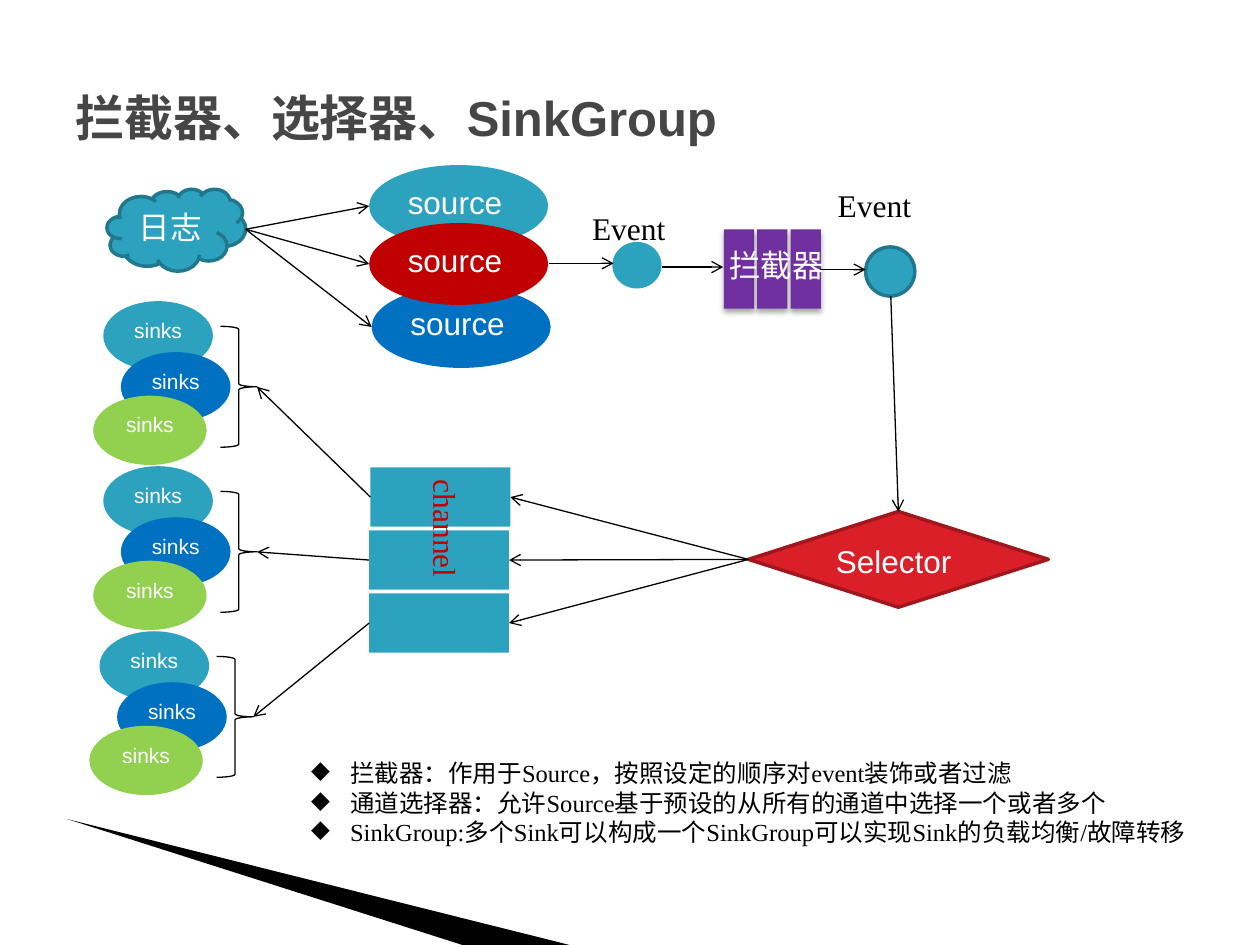
from lxml import etree
from pptx import Presentation
from pptx import util as u
from pptx.dml.color import RGBColor
from pptx.enum import shapes, text
from pptx.oxml import ns

CELL = u.Inches(0.1)
TEAL = RGBColor(0x2D, 0xA2, 0xBF)
DARK_TEAL = RGBColor(0x21, 0x78, 0x8D)
BLUE = RGBColor(0x00, 0x70, 0xC0)
GREEN = RGBColor(0x92, 0xD0, 0x50)
CRIMSON = RGBColor(0xC0, 0x00, 0x00)
RED = RGBColor(0xDA, 0x1F, 0x28)
DARK_RED = RGBColor(0xA1, 0x17, 0x1E)
PURPLE = RGBColor(0x70, 0x30, 0xA0)
GRAY = RGBColor(0x46, 0x46, 0x46)
BLACK = RGBColor(0x00, 0x00, 0x00)
WHITE = RGBColor(0xFF, 0xFF, 0xFF)
KIND = shapes.MSO_SHAPE
TOP, LEFT, RIGHT = 0, 1, 3
SERIF = "Times New Roman"
NOTES = [
    "拦截器：作用于Source，按照设定的顺序对event装饰或者过滤",
    "通道选择器：允许Source基于预设的从所有的通道中选择一个或者多个",
    "SinkGroup:多个Sink可以构成一个SinkGroup可以实现Sink的负载均衡/故障转移",
]


def grid(*cells):
    """Turn columns and rows of the 100 by 75 grid into lengths."""
    return [u.Emu(round(cell * CELL)) for cell in cells]


def add_xml(parent, tag, **attributes):
    """Append one DrawingML element and return it."""
    return etree.SubElement(parent, ns.qn(tag), attributes)


def write(paragraph, words, size, color, font="Arial", bold=False):
    """Add one styled run to a paragraph."""
    run = paragraph.add_run()
    run.text = words
    run.font.size = u.Pt(size)
    run.font.name = font
    run.font.bold = bold
    run.font.color.rgb = color


def add_node(slide, kind, box, fill=None, outline=None, width=2, label="",
             size=18, align=text.PP_ALIGN.LEFT):
    """Add a flat preset shape with an optional white label."""
    node = slide.shapes.add_shape(kind, *grid(*box))
    node.shadow.inherit = False
    if fill is None:
        node.fill.background()
    else:
        node.fill.solid()
        node.fill.fore_color.rgb = fill
    if outline is None:
        node.line.fill.background()
    else:
        node.line.color.rgb = outline
        node.line.width = u.Pt(width)
    if label:
        node.text_frame.vertical_anchor = text.MSO_ANCHOR.TOP
        paragraph = node.text_frame.paragraphs[0]
        paragraph.alignment = align
        write(paragraph, label, size, WHITE)
    return node


def add_caption(slide, box, words, color=BLACK, size=18, font=SERIF, bold=False):
    """Add a wrapping text box with one line and return its frame."""
    frame = slide.shapes.add_textbox(*grid(*box)).text_frame
    frame.word_wrap = True
    write(frame.paragraphs[0], words, size, color, font, bold)
    return frame


def add_arrow(slide, start, end, begin=None, finish=None):
    """Draw a thin open arrow, joined to (shape, side) pairs if given."""
    arrow = slide.shapes.add_connector(
        shapes.MSO_CONNECTOR.STRAIGHT, *grid(*start, *end))
    if begin:
        arrow.begin_connect(*begin)
    if finish:
        arrow.end_connect(*finish)
    arrow.line.color.rgb = BLACK
    arrow.line.width = u.Pt(0.75)
    add_xml(arrow.line._get_or_add_ln(), "a:tailEnd", type="arrow")
    add_xml(arrow._element.spPr, "a:effectLst")


def add_swoosh(slide):
    """Draw the black wedge at the bottom left."""
    tip, *rest = [grid(*point) for point in ((5.3, 65), (45.2, 75), (36.7, 75))]
    builder = slide.shapes.build_freeform(*tip)
    builder.add_line_segments(rest)
    wedge = builder.convert_to_shape()
    wedge.shadow.inherit = False
    wedge.fill.solid()
    wedge.fill.fore_color.rgb = BLACK
    wedge.line.fill.background()


def add_interceptors(slide):
    """Add three upright purple bars with a soft shadow and their caption."""
    for index in range(3):
        bar = add_node(slide, KIND.RECTANGLE,
                       (55.5 + 2.65 * index, 20.15, 6.3, 2.4), PURPLE)
        bar.rotation = 270
        effects = bar._element.spPr.find(ns.qn("a:effectLst"))
        shadow = add_xml(effects, "a:outerShdw", blurRad=str(u.Pt(3.1)),
                         dist=str(u.Pt(1.8)), dir="5400000", rotWithShape="0")
        tint = add_xml(shadow, "a:srgbClr", val=str(BLACK))
        add_xml(tint, "a:alpha", val="35000")
    add_caption(slide, (56.9, 19, 11.3, 4), "拦截器", WHITE)


def add_channels(slide):
    """Stack the three channels under a vertical caption and return them."""
    channels = [add_node(slide, KIND.RECTANGLE,
                         (29.4 if row == 0 else 29.3, 37.1 + 5 * row, 11.1, 4.7), TEAL)
                for row in range(3)]
    frame = add_caption(slide, (32.9, 37.1, 5, 14.7), "channel", CRIMSON)
    frame.vertical_anchor = text.MSO_ANCHOR.MIDDLE
    frame.paragraphs[0].alignment = text.PP_ALIGN.CENTER
    frame._txBody.bodyPr.set("vert", "eaVert")
    return channels


def add_sink_group(slide, left, top):
    """Add three overlapping sinks and the brace that gathers them."""
    sinks = ((0.8, 0, 8.7, TEAL), (2.2, 4.05, 8.7, BLUE), (0, 7.5, 9, GREEN))
    for column, row, width, color in sinks:
        add_node(slide, KIND.OVAL, (left + column, top + row, width, 5.5), color,
                 label="sinks", size=12, align=text.PP_ALIGN.CENTER)
    add_node(slide, KIND.RIGHT_BRACE, (left + 10.1, top + 2, 2.9, 9.6),
             outline=BLACK, width=0.75)


def add_notes(slide):
    """Add the diamond-bulleted explanations."""
    frame = slide.shapes.add_textbox(*grid(23.7, 59.7, 71.5, 8.1)).text_frame
    frame.word_wrap = True
    for index, note in enumerate(NOTES):
        paragraph = frame.add_paragraph() if index else frame.paragraphs[0]
        properties = paragraph._p.get_or_add_pPr()
        indent = u.Inches(0.31)
        properties.set("marL", str(indent))
        properties.set("indent", str(-indent))
        add_xml(properties, "a:buChar", char="◆")
        write(paragraph, note, 14, BLACK, SERIF)


def main():
    """Build the log flow slide and save it."""
    deck = Presentation()
    deck.slide_width, deck.slide_height = grid(100, 75)
    slide = deck.slides.add_slide(deck.slide_layouts[6])
    add_swoosh(slide)
    title = add_caption(slide, (5, 3, 90, 12.5), "拦截器、选择器、SinkGroup",
                        GRAY, 28, "Arial", True)
    title.vertical_anchor = text.MSO_ANCHOR.MIDDLE

    add_node(slide, KIND.CLOUD, (8.5, 15, 11, 6.5), TEAL, DARK_TEAL, label="日志")
    sources = ((29.3, 13.1, TEAL), (29.5, 22.7, BLUE), (29.3, 17.7, CRIMSON))
    for left, top, color in sources:
        add_node(slide, KIND.OVAL, (left, top, 14.2, 6.5), color, label="source")
        add_arrow(slide, (19.5, 18.2), (left, top + 3.25))

    add_node(slide, KIND.OVAL, (48.6, 19.2, 3.9, 3.7), TEAL)
    add_node(slide, KIND.OVAL, (68.7, 19.6, 3.9, 3.9), TEAL, DARK_TEAL)
    for left, top in ((46, 16.1), (65.5, 14.3)):
        add_caption(slide, (left, top, 10.2, 4), "Event")
    add_interceptors(slide)
    for start, end, row in ((43.6, 48.7, 20.9), (52.5, 57.4, 21.2), (65.1, 68.7, 21.4)):
        add_arrow(slide, (start, row), (end, row))

    selector = add_node(slide, KIND.FLOWCHART_DECISION, (59.4, 40.6, 23.8, 7.6),
                        RED, DARK_RED, label="Selector")
    add_arrow(slide, (70.7, 23.5), (71.3, 40.6), finish=(selector, TOP))
    channels = add_channels(slide)
    groups = ((7.4, 23.9), (7.4, 37), (7.1, 50.1))
    for channel, (left, top) in zip(channels, groups):
        add_sink_group(slide, left, top)
        add_arrow(slide, (59.4, 44.4), (40.4, 44.4), (selector, LEFT), (channel, RIGHT))
        add_arrow(slide, (29.3, 44.4), (left + 13, top + 6.8), (channel, LEFT))
    add_notes(slide)
    deck.save("out.pptx")


if __name__ == "__main__":
    main()
